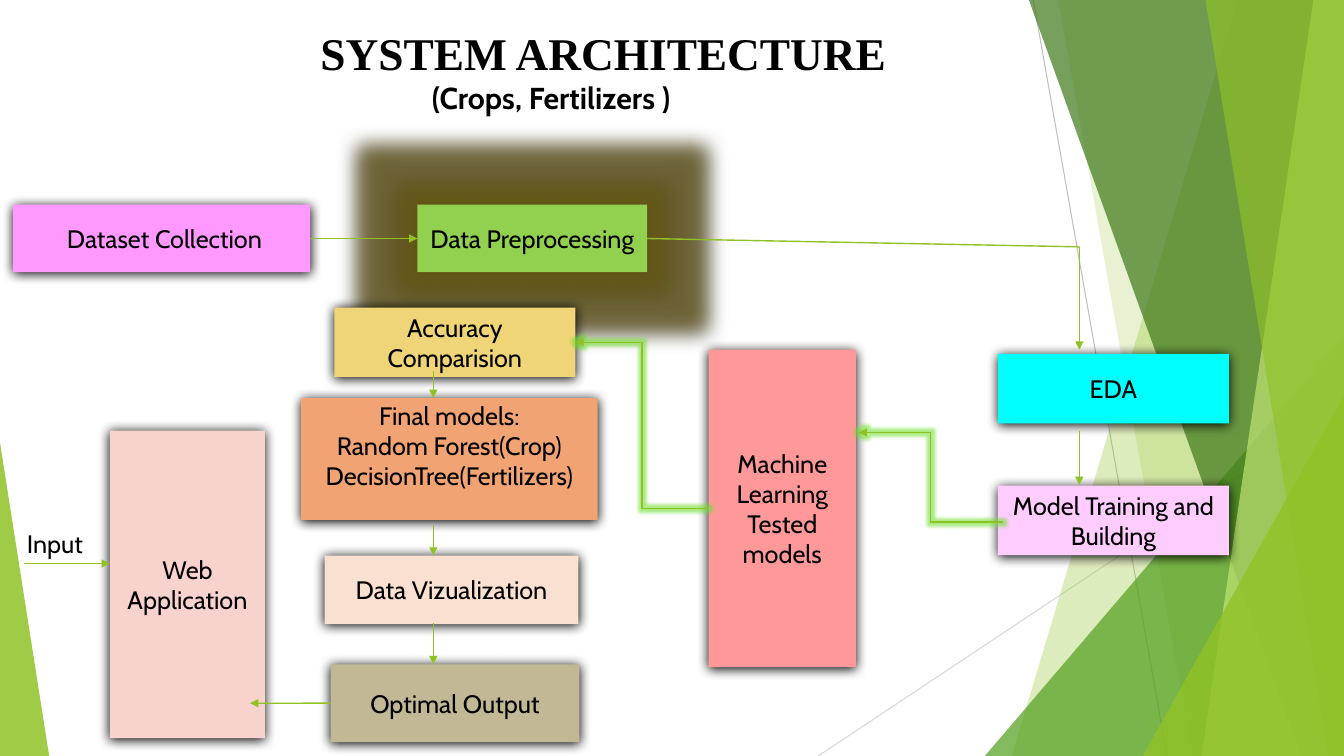
from lxml import etree
from pptx import Presentation
from pptx import util as u
from pptx.dml.color import RGBColor
from pptx.enum import shapes, text
from pptx.oxml.ns import qn


def paint(fill, color, opacity=100):
    fill.solid()
    fill.fore_color.rgb = RGBColor.from_string(color)
    if opacity < 100:
        clr = next(fill._xPr.iter(qn("a:srgbClr")))
        etree.SubElement(clr, qn("a:alpha"), val=str(opacity * 1000))


def add_effects(sp, glow=None, shadow=False):
    effects = etree.SubElement(sp._element.spPr, qn("a:effectLst"))
    if glow:
        color, radius = glow
        node = etree.SubElement(effects, qn("a:glow"), rad=str(u.Pt(radius)))
        clr = etree.SubElement(node, qn("a:srgbClr"), val=color)
        etree.SubElement(clr, qn("a:alpha"), val="60000")
    if shadow:
        node = etree.SubElement(effects, qn("a:outerShdw"), blurRad=str(u.Pt(8.5)),
                                dist=str(u.Pt(1)), dir="5400000", rotWithShape="0")
        etree.SubElement(node, qn("a:srgbClr"), val="000000")


WIDTH, HEIGHT = 33.87, 19.05
GREEN = "90C226"
BLACK = "000000"

prs = Presentation()
prs.slide_width, prs.slide_height = u.Cm(WIDTH), u.Cm(HEIGHT)
s = prs.slides.add_slide(prs.slide_layouts[5])

for x1, y1, x2, y2, color in [
    (26.04, 0, 29.41, HEIGHT, "BFBFBF"),
    (WIDTH, 10.24, 20.62, HEIGHT, "D9D9D9"),
]:
    line = s.shapes.add_connector(shapes.MSO_CONNECTOR.STRAIGHT,
                                  u.Cm(x1), u.Cm(y1), u.Cm(x2), u.Cm(y2))
    paint(line.line.fill, color)
    line.line.width = u.Pt(0.75)
    add_effects(line)

facets = [
    ("band", 31.19, 25.5, GREEN, 30),
    ("band", 26.67, 30.05, GREEN, 20),
    ("triangle", (24.82, 8.46, 9.05), 1, "54A021", 72),
    ("band", 25.93, 32.79, "3F7819", 70),
    ("band", 33.1, 30.28, "C0E474", 70),
    ("band", 30.38, 33.48, GREEN, 65),
    ("triangle", (28.8, 9.98, 5.07), 1, GREEN, 80),
    ("triangle", (0, 11.15, 1.24), 0, GREEN, 85),
]
for kind, first, second, color, opacity in facets:
    if kind == "band":
        outline = s.shapes.build_freeform(u.Cm(first), 0)
        outline.add_line_segments([(u.Cm(WIDTH), 0), (u.Cm(WIDTH), u.Cm(HEIGHT)),
                                   (u.Cm(second), u.Cm(HEIGHT))])
        sp = outline.convert_to_shape()
    else:
        left, top, width = first
        sp = s.shapes.add_shape(shapes.MSO_SHAPE.ISOSCELES_TRIANGLE, u.Cm(left), u.Cm(top),
                                u.Cm(width), u.Cm(HEIGHT - top))
        sp.adjustments[0] = second
    paint(sp.fill, color, opacity)
    sp.line.fill.background()
    sp.shadow.inherit = False

title = s.shapes.title
title.left, title.top, title.width, title.height = u.Cm(7.57), u.Cm(0.5), u.Cm(15.44), u.Cm(3.68)
tf = title.text_frame
tf.word_wrap = True
tf.auto_size = text.MSO_AUTO_SIZE.NONE
tf.vertical_anchor = text.MSO_ANCHOR.TOP
for i, (words, size, font, indent) in enumerate([
    ("SYSTEM ARCHITECTURE", 32.4, "Times New Roman", 0.25),
    ("(Crops, Fertilizers )", 21.6, "Cabin", 3.06),
]):
    p = tf.add_paragraph() if i else tf.paragraphs[0]
    p.alignment = text.PP_ALIGN.LEFT
    p._p.get_or_add_pPr().set("marL", str(u.Cm(indent)))
    r = p.add_run()
    r.text = words
    r.font.size, r.font.name, r.font.bold = u.Pt(size), font, True
    paint(r.font.fill, BLACK)

stages = [
    ("dataset", 0.33, 5.16, 7.49, 1.7, "FF99FF", [" Dataset Collection"]),
    ("preprocessing", 10.52, 5.16, 5.79, 1.7, "92D050", ["Data Preprocessing"]),
    ("eda", 25.15, 8.92, 5.82, 1.75, "00FFFF", ["EDA"]),
    ("training", 25.15, 12.24, 5.82, 1.75, "FFCCFF", ["Model Training and Building"]),
    ("tested", 17.86, 8.81, 3.71, 8, "FF9999", ["Machine Learning", "Tested", "models"]),
    ("visualization", 8.18, 14, 6.4, 1.73, "FAE0D1", ["Data Vizualization"]),
    ("accuracy", 8.43, 7.75, 6.07, 1.75, "F0D578", ["Accuracy Comparision"]),
    ("final", 7.59, 10.03, 7.47, 3.07, "F1A374",
     ["Final models:", "Random Forest(Crop)", "DecisionTree(Fertilizers)"]),
    ("output", 8.33, 16.74, 6.27, 1.96, "C1B995", ["Optimal Output"]),
    ("web", 2.77, 10.85, 3.91, 7.75, "F8D2CC", ["Web Application"]),
    ("input", 0.43, 13.18, 1.98, 1.02, None, ["Input"]),
]
boxes = {}
for name, left, top, width, height, color, lines in stages:
    place = u.Cm(left), u.Cm(top), u.Cm(width), u.Cm(height)
    if color:
        sp = s.shapes.add_shape(shapes.MSO_SHAPE.RECTANGLE, *place)
        paint(sp.fill, color)
        sp.line.fill.background()
        add_effects(sp, ("716118", 28) if name == "preprocessing" else None, shadow=True)
    else:
        sp = s.shapes.add_textbox(*place)
    boxes[name] = sp
    tf = sp.text_frame
    tf.word_wrap = True
    tf.vertical_anchor = text.MSO_ANCHOR.MIDDLE
    if name == "final":
        tf.vertical_anchor = text.MSO_ANCHOR.TOP
        tf.margin_top = u.Cm(0.05)
    for i, words in enumerate(lines):
        p = tf.add_paragraph() if i else tf.paragraphs[0]
        p.alignment = text.PP_ALIGN.CENTER if color else text.PP_ALIGN.LEFT
        r = p.add_run()
        r.text = words
        r.font.size, r.font.name = u.Pt(18), "Cabin"
        paint(r.font.fill, BLACK)

STRAIGHT, ELBOW = shapes.MSO_CONNECTOR.STRAIGHT, shapes.MSO_CONNECTOR.ELBOW
flows = [
    (STRAIGHT, ("dataset", 3), ("preprocessing", 1), True),
    (STRAIGHT, ("output", 1), (6.3, 17.72), True),
    (ELBOW, ("tested", 1), ("accuracy", 3), True),
    (STRAIGHT, (27.2, 10.85), (27.2, 12.22), True),
    (STRAIGHT, (0.61, 14.2), (2.77, 14.2), True),
    (STRAIGHT, ("preprocessing", 3), (27.2, 6.22), False),
    (STRAIGHT, (27.2, 6.22), (27.2, 8.81), True),
    (STRAIGHT, (10.92, 9.35), (10.92, 10.03), True),
    (STRAIGHT, (10.92, 13.23), (10.92, 14), True),
    (STRAIGHT, (10.92, 15.7), (10.92, 16.74), True),
    (ELBOW, (25.27, 13.16), (21.64, 10.9), True),
]
for kind, begin, end, arrow in flows:
    flow = s.shapes.add_connector(kind, 0, 0, 0, 0)
    if begin[0] in boxes:
        flow.begin_connect(boxes[begin[0]], begin[1])
    else:
        flow.begin_x, flow.begin_y = u.Cm(begin[0]), u.Cm(begin[1])
    if end[0] in boxes:
        flow.end_connect(boxes[end[0]], end[1])
    else:
        flow.end_x, flow.end_y = u.Cm(end[0]), u.Cm(end[1])
    paint(flow.line.fill, GREEN)
    flow.line.width = u.Pt(1)
    if arrow:
        etree.SubElement(flow._element.spPr.find(qn("a:ln")), qn("a:tailEnd"), type="triangle")
    add_effects(flow, ("70E030", 5) if kind == ELBOW else None)

prs.save("out.pptx")
